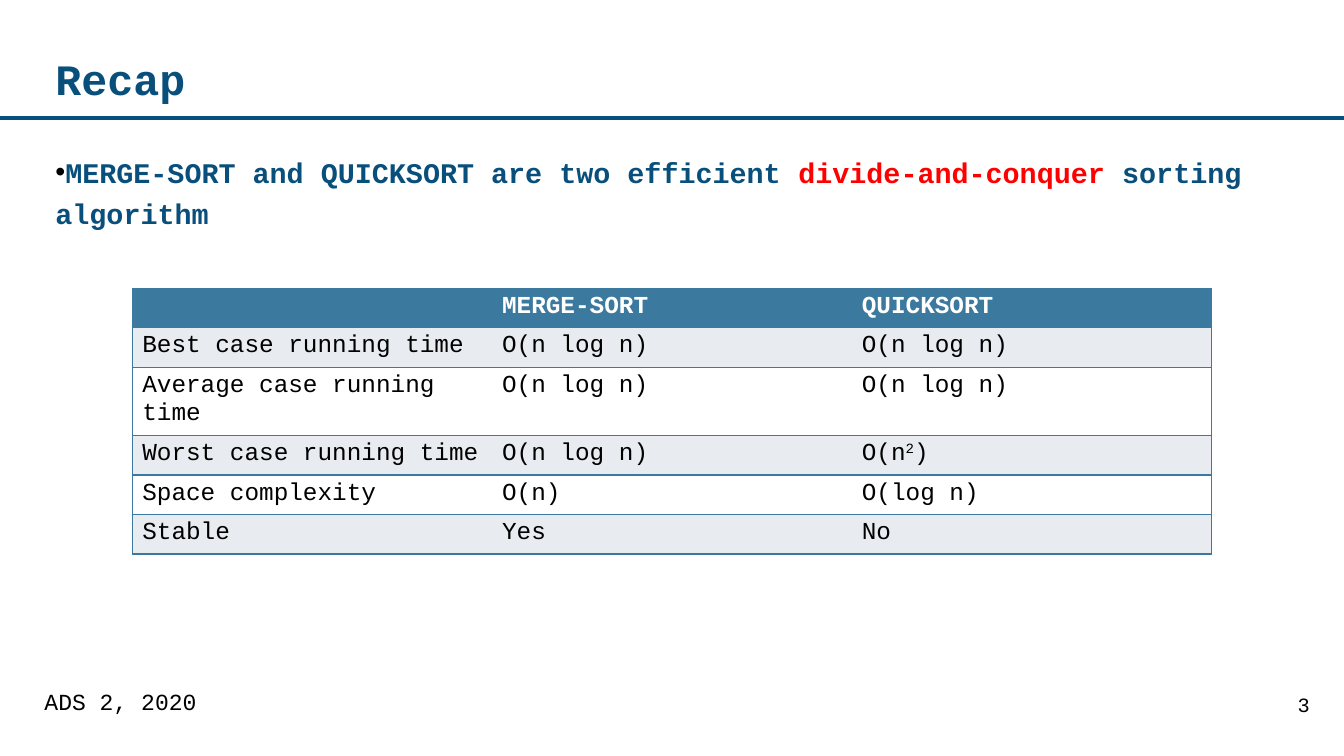
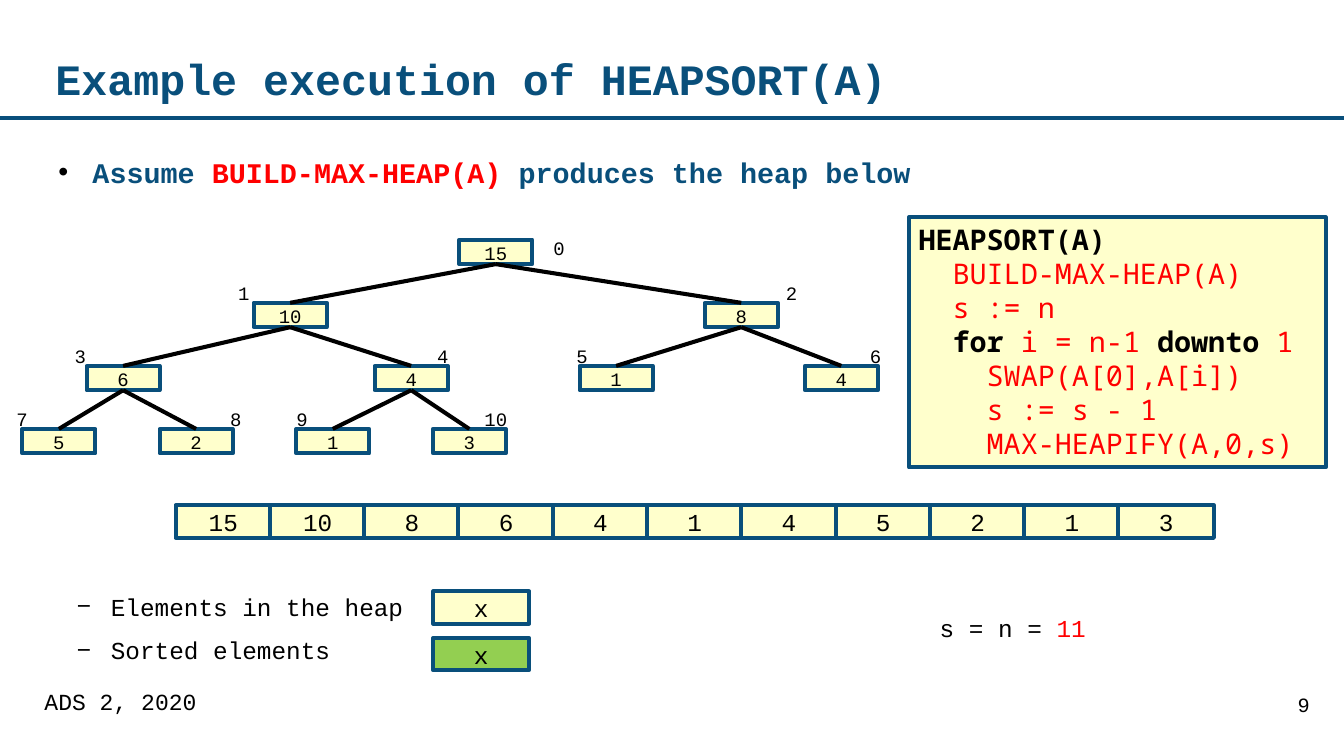
from lxml import etree
from pptx import Presentation
from pptx.dml.color import RGBColor
from pptx.enum.shapes import MSO_CONNECTOR, MSO_SHAPE
from pptx.enum.text import MSO_ANCHOR, PP_ALIGN
from pptx.oxml.ns import qn
from pptx.util import Pt

TOP, MIDDLE = MSO_ANCHOR.TOP, MSO_ANCHOR.MIDDLE
LEFT, CENTER, RIGHT = PP_ALIGN.LEFT, PP_ALIGN.CENTER, PP_ALIGN.RIGHT
RECT, STRAIGHT = MSO_SHAPE.RECTANGLE, MSO_CONNECTOR.STRAIGHT

COLOURS = {
    "navy": "094F7B", "red": "FF0000", "black": "000000", "white": "FFFFFF",
    "header": "3C799E", "band": "E8ECF0", "heap": "FFFFCC", "sorted": "93CF51",
}
MAIN_FONT, CODE_FONT = "Courier New", "Noto Sans Mono"
WIDTH, HEIGHT = 993.6, 558.72
MARGIN = 41
HANGING = -25.2
NO_INSETS = (0, 0, 0, 0)
BODY_FORMAT = {"line_spacing": 1.2, "space_before": Pt(6.4)}

# Content: a paragraph is a string or a list of runs, a run is (text, format)
RED = {"colour": "red"}
SUPER = {"baseline": 30}
KEYWORD = {"colour": "black", "bold": True}
FOOTER = "ADS 2, 2020"

RECAP_POINT = [
    ("MERGE-SORT and QUICKSORT are two efficient ", {}),
    ("divide-and-conquer", RED),
    (" sorting algorithm", {}),
]
COMPARISON = [
    ("", "MERGE-SORT", "QUICKSORT"),
    ("Best case running time", "O(n log n)", "O(n log n)"),
    ("Average case running time", "O(n log n)", "O(n log n)"),
    ("Worst case running time", "O(n log n)", [("O(n", {}), ("2", SUPER), (")", {})]),
    ("Space complexity", "O(n)", "O(log n)"),
    ("Stable", "Yes", "No"),
]

HEAP_POINT = [
    ("Assume ", {}),
    ("BUILD-MAX-HEAP(A)", RED),
    (" produces the heap below", {}),
]
# Heap order: value, centre of the node, left edge of its index label
HEAP = [
    (15, 366.5, 402),
    (10, 214.5, 169), (8, 548, 574),
    (6, 91, 48), (4, 304, 316), (1, 455.5, 419), (4, 622, 636),
    (5, 43.5, 5), (2, 145, 163), (1, 246, 212), (3, 347, 351),
]
# Pseudocode: indent level and text
HEAPSORT = [
    (0, [("HEAPSORT(A)", KEYWORD)]),
    (1, "BUILD-MAX-HEAP(A)"),
    (1, "s := n"),
    (1, [("for ", KEYWORD), ("i = n-1 ", {}), ("downto ", KEYWORD), ("1", {})]),
    (2, "SWAP(A[0],A[i])"),
    (2, "s := s - 1"),
    (2, "MAX-HEAPIFY(A,0,s)"),
]
LEGEND = [("Elements in the heap", "heap"), ("Sorted elements", "sorted")]
HEAP_SIZE = [("s = n = ", {}), ("11", RED)]


def rgb(name):
    return RGBColor.from_string(COLOURS[name])


def apply(target, formats):
    for attribute, value in formats.items():
        setattr(target, attribute, value)


def write(frame, paragraphs, size, colour="black", bold=False, font=MAIN_FONT, **layout):
    """Fill a text frame; layout holds paragraph formats."""
    for number, content in enumerate(paragraphs):
        paragraph = frame.add_paragraph() if number else frame.paragraphs[0]
        apply(paragraph, layout)
        runs = [(content, {})] if isinstance(content, str) else content
        for text, override in runs:
            run = paragraph.add_run()
            run.text = text
            apply(run.font, {"name": font, "size": Pt(size),
                             "bold": override.get("bold", bold)})
            run.font.color.rgb = rgb(override.get("colour", colour))
            if "baseline" in override:
                run.font._element.set("baseline", str(override["baseline"] * 1000))


def set_frame(frame, insets=(7.2, 3.6, 7.2, 3.6), anchor=TOP, wrap=True):
    left, top, right, bottom = map(Pt, insets)
    apply(frame, {"margin_left": left, "margin_top": top, "margin_right": right,
                  "margin_bottom": bottom, "vertical_anchor": anchor,
                  "word_wrap": wrap})


def add_text(slide, box, paragraphs, size, insets=(7.2, 3.6, 7.2, 3.6),
             anchor=TOP, **style):
    frame = slide.shapes.add_textbox(*map(Pt, box)).text_frame
    set_frame(frame, insets, anchor)
    write(frame, paragraphs, size, **style)
    return frame


def add_box(slide, box, fill):
    shape = slide.shapes.add_shape(RECT, *map(Pt, box))
    shape.shadow.inherit = False
    shape.fill.solid()
    shape.fill.fore_color.rgb = rgb(fill)
    shape.line.color.rgb = rgb("navy")
    shape.line.width = Pt(3)
    return shape.text_frame


def add_element(slide, box, value, size, fill="heap"):
    frame = add_box(slide, box, fill)
    set_frame(frame, (7.2, 7.2, 7.2, 2.9), MIDDLE, wrap=False)
    write(frame, [str(value)], size, alignment=CENTER, line_spacing=0.82)


def add_line(slide, start, end, colour, width):
    line = slide.shapes.add_connector(STRAIGHT, *map(Pt, start + end))
    line.line.color.rgb = rgb(colour)
    line.line.width = Pt(width)
    etree.SubElement(line._element.spPr, qn("a:effectLst"))


def indent(paragraph, left, first=0, bullet=None):
    properties = paragraph._p.get_or_add_pPr()
    properties.set("marL", str(Pt(left)))
    properties.set("indent", str(Pt(first)))
    if bullet:
        colour = etree.SubElement(properties, qn("a:buClr"))
        etree.SubElement(colour, qn("a:srgbClr"), val=COLOURS["black"])
        etree.SubElement(properties, qn("a:buFont"), typeface="Arial")
        etree.SubElement(properties, qn("a:buChar"), char=bullet)


def start_slide(deck, title, number, point, point_left):
    """Rule, title, first bullet and footer shared by the slides."""
    slide = deck.slides.add_slide(deck.slide_layouts[6])
    add_line(slide, (0, 87), (WIDTH, 87), "navy", 2.75)
    add_text(slide, (MARGIN, 25, 848, 64), [title], 32, NO_INSETS, MIDDLE,
             colour="navy", bold=True, line_spacing=1.04)
    body = add_text(slide, (MARGIN, 109.4, 911, 76), [point], 21, NO_INSETS,
                    colour="navy", bold=True, **BODY_FORMAT)
    indent(body.paragraphs[0], point_left, HANGING, "•")
    add_text(slide, (816.5, 508.3, 160.5, 38), [str(number)], 15,
             (8.6, 4.3, 8.6, 4.3), alignment=RIGHT, line_spacing=0.96)
    add_text(slide, (25, 508.3, 628, 38), [FOOTER], 17, (7.9, 3.6, 7.9, 3.6),
             line_spacing=0.82)
    return slide


def set_borders(cell, sides):
    """Rule the named sides of a cell and clear the others."""
    properties = cell._tc.get_or_add_tcPr()
    for position, side in enumerate("LRTB"):
        border = etree.Element(qn(f"a:ln{side}"), w=str(Pt(1)))
        if side in sides:
            fill = etree.SubElement(border, qn("a:solidFill"))
            etree.SubElement(fill, qn("a:srgbClr"), val=COLOURS["header"])
        else:
            etree.SubElement(border, qn("a:noFill"))
        properties.insert(position, border)


def add_comparison(slide):
    rows, columns = len(COMPARISON), len(COMPARISON[0])
    column_width, row_height = 266, 29.2
    table = slide.shapes.add_table(
        rows, columns, Pt(98), Pt(213),
        Pt(column_width * columns), Pt(row_height * rows)).table
    for column in table.columns:
        column.width = Pt(column_width)
    for r, values in enumerate(COMPARISON):
        table.rows[r].height = Pt(row_height)
        head = r == 0
        fill = "header" if head else "band" if r % 2 else "white"
        for c, value in enumerate(values):
            cell = table.cell(r, c)
            cell.fill.solid()
            cell.fill.fore_color.rgb = rgb(fill)
            set_borders(cell, "TB" + ("L" if c == 0 else "")
                        + ("R" if c == columns - 1 else ""))
            write(cell.text_frame, [value], 18, bold=head,
                  colour="white" if head else "black")


def add_heap(slide):
    node_width, node_height = 54, 18
    levels = [(i + 1).bit_length() - 1 for i in range(len(HEAP))]
    tops = [177.2 + 46.6 * level for level in levels]
    for i, (value, centre, _) in enumerate(HEAP):
        add_element(slide, (centre - node_width / 2, tops[i], node_width, node_height),
                    value, 14)
    for i, (_, centre, label_left) in enumerate(HEAP):
        if i:
            parent = (i - 1) // 2
            add_line(slide, (HEAP[parent][1], tops[parent] + node_height),
                     (centre, tops[i]), "black", 3)
        label_top = tops[i] - (19 if i else 6)
        add_text(slide, (label_left, label_top, 40, 24), [str(i)], 14)


def add_pseudocode(slide):
    frame = add_box(slide, (672, 160.5, 308, 185), "heap")
    set_frame(frame)
    write(frame, [text for _, text in HEAPSORT], 21, "red", font=CODE_FONT,
          alignment=LEFT, line_spacing=Pt(25.2))
    for paragraph, (level, _) in zip(frame.paragraphs, HEAPSORT):
        indent(paragraph, 25.2 * level)


def add_array(slide):
    for i, (value, _, _) in enumerate(HEAP):
        add_element(slide, (129.8 + 69.7 * i, 373.5, 70.6, 24), value, 18)


def add_legend(slide):
    names = add_text(slide, (MARGIN, 433, 270, 66), [name for name, _ in LEGEND],
                     18, NO_INSETS, **BODY_FORMAT)
    for i, (paragraph, (_, fill)) in enumerate(zip(names.paragraphs, LEGEND)):
        indent(paragraph, 41, HANGING, "−")
        add_element(slide, (320.4, 437 + 34.4 * i, 70.6, 24), "x", 18, fill)


def main():
    deck = Presentation()
    deck.slide_width, deck.slide_height = Pt(WIDTH), Pt(HEIGHT)

    recap = start_slide(deck, "Recap", 3, RECAP_POINT, 0)
    add_comparison(recap)

    example = start_slide(deck, "Example execution of HEAPSORT(A)", 9, HEAP_POINT, 27.4)
    add_heap(example)
    add_pseudocode(example)
    add_array(example)
    add_legend(example)
    add_text(example, (687.6, 449.3, 280, 51), [HEAP_SIZE], 18)

    deck.save("out.pptx")


if __name__ == "__main__":
    main()
